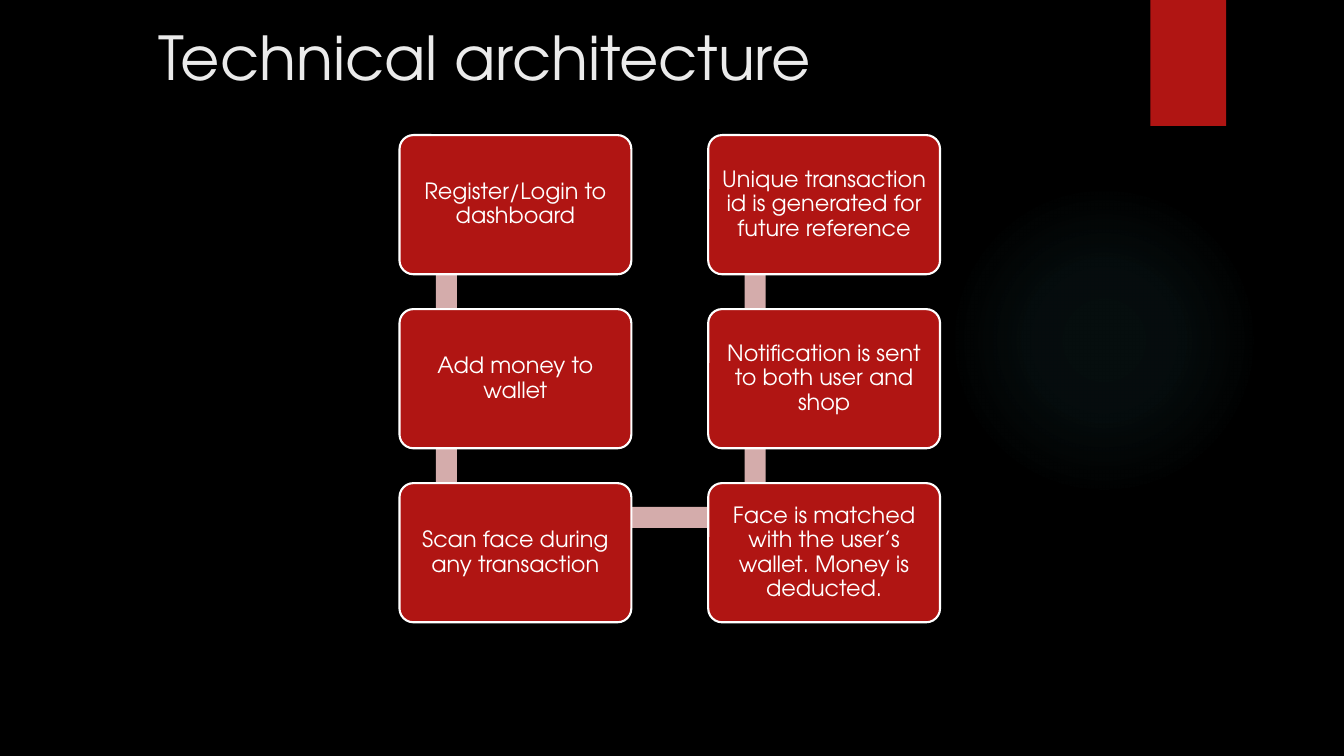
from pptx import Presentation
from pptx.dml.color import RGBColor
from pptx.enum.shapes import MSO_SHAPE
from pptx.enum.text import MSO_ANCHOR, MSO_AUTO_SIZE, PP_ALIGN
from pptx.oxml import parse_xml
from pptx.oxml.ns import nsdecls
from pptx.util import Pt

COLORS = {"back": "000000", "red": "B01513", "rail": "D4ACAB",
          "white": "FFFFFF", "title": "EBEBEB", "glow": "50B9C1"}
FONT = "TeX Gyre Adventor"


class Deck:
    def __init__(self):
        self.prs = Presentation()
        self.prs.slide_width, self.prs.slide_height = Pt(960), Pt(540)
        self.slide = self.prs.slides.add_slide(self.prs.slide_layouts[5])
        self.paint(self.slide.background.fill, "back")

    def paint(self, fill, name):
        fill.solid()
        fill.fore_color.rgb = RGBColor.from_string(COLORS[name])

    def style(self, par, size, name, align):
        par.alignment = align
        par.font.name, par.font.size = FONT, Pt(size)
        par.font.color.rgb = RGBColor.from_string(COLORS[name])

    def title(self, text, left, top, width, height):
        box = self.slide.shapes.title
        box.left, box.top = Pt(left), Pt(top)
        box.width, box.height = Pt(width), Pt(height)
        frame = box.text_frame
        frame.text = text
        frame.auto_size = MSO_AUTO_SIZE.NONE
        frame.vertical_anchor = MSO_ANCHOR.BOTTOM
        self.style(frame.paragraphs[0], 43.2, "title", PP_ALIGN.LEFT)

    def shape(self, kind, left, top, width, height, color):
        item = self.slide.shapes.add_shape(
            kind, Pt(left), Pt(top), Pt(width), Pt(height))
        item.shadow.inherit = False
        self.paint(item.fill, color)
        item.line.fill.background()
        return item

    def bar(self, left, top, width, height, color):
        return self.shape(MSO_SHAPE.RECTANGLE, left, top, width, height, color)

    def glow(self, left, top, size):
        item = self.shape(MSO_SHAPE.OVAL, left, top, size, size, "glow")
        stops = "".join(
            f'<a:gs pos="{pos * 1000}"><a:srgbClr val="{COLORS["glow"]}">'
            f'<a:alpha val="{alpha * 1000}"/></a:srgbClr></a:gs>'
            for pos, alpha in ((0, 7), (36, 6), (69, 0)))
        grad = parse_xml(
            f'<a:gradFill {nsdecls("a")}><a:gsLst>{stops}</a:gsLst>'
            '<a:path path="circle"><a:fillToRect l="50000" t="50000" '
            'r="50000" b="50000"/></a:path></a:gradFill>')
        props = item.element.spPr
        props.replace(props.find("{*}solidFill"), grad)

    def step(self, text, left, top, width, height):
        box = self.shape(MSO_SHAPE.ROUNDED_RECTANGLE,
                         left, top, width, height, "red")
        box.adjustments[0] = 0.1
        self.paint(box.line.fill, "white")
        box.line.width = Pt(1.5)
        frame = box.text_frame
        frame.text = text
        frame.word_wrap = True
        frame.vertical_anchor = MSO_ANCHOR.MIDDLE
        # The rounded corners add 2.9 pt to these insets
        frame.margin_left = frame.margin_right = Pt(5.2)
        frame.margin_top = frame.margin_bottom = Pt(5.2)
        par = frame.paragraphs[0]
        par.line_spacing = 0.9
        self.style(par, 16, "white", PP_ALIGN.CENTER)


def main():
    deck = Deck()

    # Backdrop and title
    deck.glow(677.5, 131.8, 221.8)
    deck.bar(821.8, 0, 54, 90, "red")
    deck.title("Technical architecture", 105.8, 14.4, 611.3, 55.4)

    # Grid: down the left column, then up the right one
    left, top, wide, high = 285.4, 96.5, 165.6, 99.4
    across, down, rail = 220.5, 124.3, 15
    steps = (
        ("Register/Login to dashboard", 0, 0),
        ("Add money to wallet", 0, 1),
        ("Scan face during any transaction", 0, 2),
        ("Face is matched with the user’s wallet. Money is deducted.", 1, 2),
        ("Notification is sent to both user and shop", 1, 1),
        ("Unique transaction id is generated for future reference", 1, 0),
    )

    # Rails between the steps
    for col in range(2):
        for row in range(2):
            deck.bar(left + 26 + col * across, top + 25 + row * down,
                     rail, down, "rail")
    deck.bar(left + 33.5, top + 265.5, across, rail, "rail")

    # Steps
    for text, col, row in steps:
        deck.step(text, left + col * across, top + row * down, wide, high)

    deck.prs.save("out.pptx")


if __name__ == "__main__":
    main()
